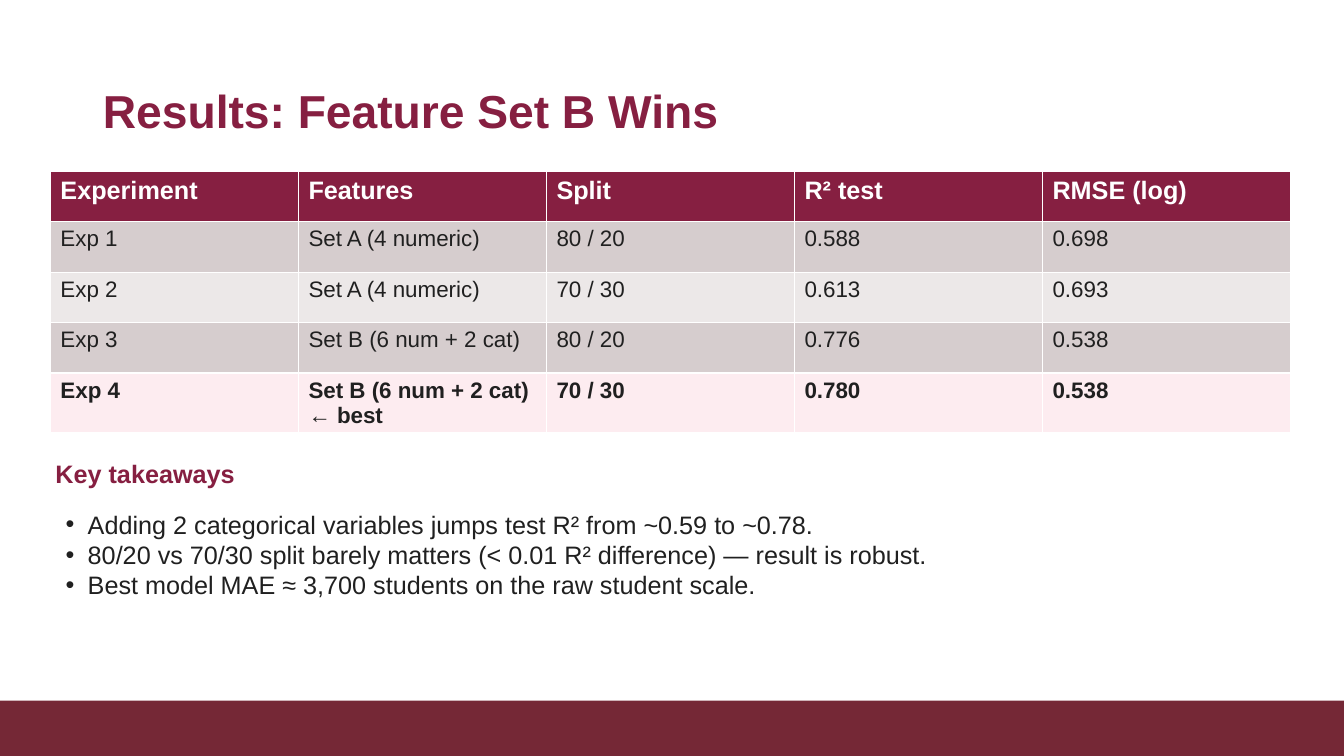
from pptx import Presentation, util as u
from pptx.dml.color import RGBColor
from pptx.enum import shapes, text
from lxml import etree

COLORS = {
    "maroon": "861F41", "band": "752836", "ink": "202020", "white": "FFFFFF",
    "odd": "D6CDCE", "even": "ECE8E8", "best": "FDECF0",
}
MARGIN, CONTENT_WIDTH, ROW_HEIGHT = 0.5, 12.3, 0.5


def style(paragraph, size, color, bold=False):
    paragraph.font.name = "Arial"
    paragraph.font.size = u.Pt(size)
    paragraph.font.bold = bold
    paragraph.font.color.rgb = RGBColor.from_string(COLORS[color])


def place(item, left, top, width, height):
    item.left, item.top = u.Inches(left), u.Inches(top)
    item.width, item.height = u.Inches(width), u.Inches(height)


deck = Presentation()
deck.slide_width, deck.slide_height = u.Inches(13.33), u.Inches(7.5)
slide = deck.slides.add_slide(deck.slide_layouts[1])

footer = slide.shapes.add_shape(
    shapes.MSO_SHAPE.RECTANGLE, 0, u.Inches(6.95), deck.slide_width, u.Inches(0.55))
footer.shadow.inherit = False
footer.fill.solid()
footer.fill.fore_color.rgb = RGBColor.from_string(COLORS["band"])
footer.line.fill.background()

heading = slide.shapes.title
place(heading, 0.92, 0.4, 11.5, 1.45)
heading.text_frame.text = "Results: Feature Set B Wins"
heading.text_frame.auto_size = text.MSO_AUTO_SIZE.NONE
heading.text_frame.vertical_anchor = text.MSO_ANCHOR.MIDDLE
heading_line = heading.text_frame.paragraphs[0]
heading_line.alignment = text.PP_ALIGN.LEFT
heading_line.line_spacing = 0.9
style(heading_line, 33, "maroon", True)

experiments = [
    ("Experiment", "Features", "Split", "R² test", "RMSE (log)"),
    ("Exp 1", "Set A (4 numeric)", "80 / 20", "0.588", "0.698"),
    ("Exp 2", "Set A (4 numeric)", "70 / 30", "0.613", "0.693"),
    ("Exp 3", "Set B (6 num + 2 cat)", "80 / 20", "0.776", "0.538"),
    ("Exp 4", "Set B (6 num + 2 cat) ← best", "70 / 30", "0.780", "0.538"),
]
row_fills = ["maroon", "odd", "even", "odd", "best"]
results = slide.shapes.add_table(
    len(experiments), len(experiments[0]), u.Inches(MARGIN), u.Inches(1.7),
    u.Inches(CONTENT_WIDTH), u.Inches(ROW_HEIGHT * len(experiments))).table
for row, (values, fill) in enumerate(zip(experiments, row_fills)):
    is_header = row == 0
    for column, value in enumerate(values):
        cell = results.cell(row, column)
        cell.text = value
        cell.fill.solid()
        cell.fill.fore_color.rgb = RGBColor.from_string(COLORS[fill])
        style(cell.text_frame.paragraphs[0], 18 if is_header else 16,
              "white" if is_header else "ink", is_header or fill == "best")

takeaways_label = slide.shapes.add_textbox(0, 0, 0, 0)
place(takeaways_label, MARGIN, 4.5, CONTENT_WIDTH, 0.4)
takeaways_label.text_frame.text = "Key takeaways"
style(takeaways_label.text_frame.paragraphs[0], 18, "maroon", True)

takeaways = slide.placeholders[1]
place(takeaways, 0.6, 5, 12.2, 2)
takeaways.text_frame.text = "\n".join([
    "Adding 2 categorical variables jumps test R² from ~0.59 to ~0.78.",
    "80/20 vs 70/30 split barely matters (< 0.01 R² difference) — result is robust.",
    "Best model MAE ≈ 3,700 students on the raw student scale.",
])
takeaways.text_frame.auto_size = text.MSO_AUTO_SIZE.NONE
for takeaway in takeaways.text_frame.paragraphs:
    properties = takeaway._p.get_or_add_pPr()
    indent = u.Inches(0.22)
    properties.set("marL", str(indent))
    properties.set("indent", str(-indent))
    namespace = properties.nsmap["a"]
    etree.SubElement(properties, f"{{{namespace}}}buFont", typeface="Arial")
    etree.SubElement(properties, f"{{{namespace}}}buChar", char="•")
    takeaway.space_before = u.Pt(0)
    style(takeaway, 18, "ink")

for frame in (takeaways_label.text_frame, takeaways.text_frame):
    frame.word_wrap = True
    frame.margin_left = frame.margin_right = u.Inches(0.05)
    frame.margin_top = frame.margin_bottom = u.Inches(0.05)

deck.save("out.pptx")
